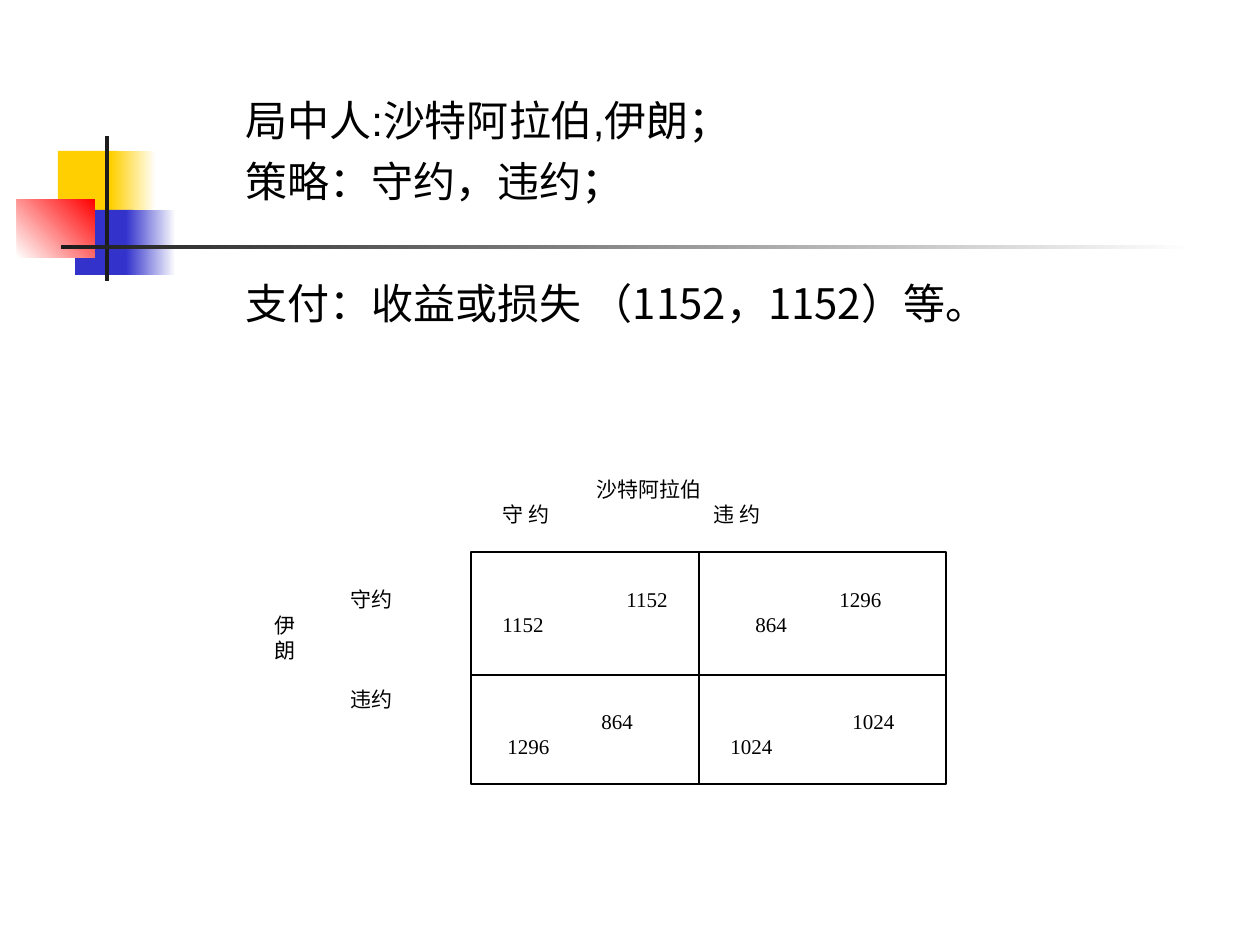
"""Build a slide that shows the payoff matrix of a two-player quota game."""
from lxml import etree
from pptx import Presentation
from pptx.dml.color import RGBColor
from pptx.enum.shapes import MSO_CONNECTOR, MSO_SHAPE
from pptx.enum.text import MSO_ANCHOR, PP_ALIGN
from pptx.oxml.ns import qn
from pptx.util import Pt

RECTANGLE, STRAIGHT = MSO_SHAPE.RECTANGLE, MSO_CONNECTOR.STRAIGHT
TOP, LEFT, JUSTIFY = MSO_ANCHOR.TOP, PP_ALIGN.LEFT, PP_ALIGN.JUSTIFY
SCALE = 914400 // 126
COLORS = {"yellow": "FFCF01", "blue": "3333CC", "red": "FF0000",
          "dark": "1C1C1C", "white": "FFFFFF", "black": "000000"}
SERIF, SANS, CJK = "Times New Roman", "Arial", "Noto Sans CJK SC"

ORNAMENTS = [
    ((58, 151, 60, 66), ("yellow",), 0),
    ((111, 151, 45, 66), ("yellow", "white"), 0),
    ((75, 210, 58, 65), ("blue",), 0),
    ((126, 210, 50, 65), ("blue", "white"), 0),
    ((17, 199, 78, 59), ("white", "red"), 45),
    ((105, 136, 4, 145), ("dark",), 0),
    ((61, 245, 1134, 4), ("dark", "white"), 0),
]
INTRO = [
    ([("局中人:沙特阿拉伯,伊朗；", SANS)], 0),
    ([("策略：守约，违约；", SANS)], 6),
    ([("支付：收益或损失 ", SANS), ("（1152，1152）等", CJK), ("。", SANS)], 41),
]
INTRO_BOX = (233, 88, 883, 307)
MATRIX = (471, 552, 475, 232)
SPLIT_X, SPLIT_Y = 699, 675
LABELS = [
    ((490, 470, 456, 68), [("沙特阿拉伯", 94, 0), ("守 约\t违 约", 0, 0)]),
    ((338, 580, 94, 164), [("守约", 0, 0), ("违约", 0, 43)]),
    ((262, 606, 57, 96), [("伊朗", 0, 0)]),
]
HEADER_TAB = 211
CELL_LEFTS, CELL_TOPS, CELL_SIZE = (490, 718), (580, 702), (190, 68)
PAYOFFS = [
    [[("1152", 124, 0), ("1152", 0, 0)], [("1296", 109, 0), ("864", 25, 0)]],
    [[("864", 99, 0), ("1296", 5, 0)], [("1024", 122, 0), ("1024", 0, 0)]],
]


def px(*lengths):
    return [length * SCALE for length in lengths]


def color(name):
    return RGBColor.from_string(COLORS[name])


def add_rectangle(page, frame, fills, angle=0):
    shape = page.shapes.add_shape(RECTANGLE, *px(*frame))
    shape.shadow.inherit = False
    shape.line.fill.background()
    if len(fills) == 1:
        shape.fill.solid()
        shape.fill.fore_color.rgb = color(fills[0])
    else:
        shape.fill.gradient()
        shape.fill.gradient_angle = angle
        for stop, name, position in zip(shape.fill.gradient_stops, fills, (0, 1)):
            stop.color.rgb = color(name)
            stop.position = position
    return shape


def add_divider(page, *ends):
    line = page.shapes.add_connector(STRAIGHT, *px(*ends))
    line.line.color.rgb = color("black")
    line.line.width = Pt(0.75)
    etree.SubElement(line._element.spPr, qn("a:effectLst"))


def style_span(span, size, font):
    span.font.size = Pt(size)
    span.font.name = font
    span.font.color.rgb = color("black")


def add_label(page, frame, lines):
    text_frame = add_rectangle(page, frame, ("white",)).text_frame
    text_frame.word_wrap = True
    text_frame.vertical_anchor = TOP
    text_frame.text = "\n".join(text for text, _, _ in lines)
    for para, (text, indent, gap) in zip(text_frame.paragraphs, lines):
        para.alignment = JUSTIFY
        if gap:
            para.space_before = Pt(gap)
        properties = para._p.get_or_add_pPr()
        properties.set("marL", str(indent * SCALE))
        if "\t" in text:
            tabs = etree.SubElement(properties, qn("a:tabLst"))
            etree.SubElement(tabs, qn("a:tab"), pos=str(HEADER_TAB * SCALE), algn="l")
        for span in para.runs:
            style_span(span, 12, SERIF)


def add_intro(page):
    text_frame = page.shapes.add_textbox(*px(*INTRO_BOX)).text_frame
    text_frame.word_wrap = True
    for index, (spans, gap) in enumerate(INTRO):
        para = text_frame.add_paragraph() if index else text_frame.paragraphs[0]
        para.alignment = LEFT
        if gap:
            para.space_before = Pt(gap)
        for text, font in spans:
            span = para.add_run()
            span.text = text
            style_span(span, 24, font)


def main():
    deck = Presentation()
    deck.slide_width, deck.slide_height = px(1260, 945)
    page = deck.slides.add_slide(deck.slide_layouts[6])
    for frame, fills, angle in ORNAMENTS:
        add_rectangle(page, frame, fills, angle)

    matrix = add_rectangle(page, MATRIX, ("white",))
    matrix.line.color.rgb = color("black")
    matrix.line.width = Pt(1.5)
    left, top, width, height = MATRIX
    add_divider(page, left, SPLIT_Y, left + width, SPLIT_Y)
    add_divider(page, SPLIT_X, top, SPLIT_X, top + height)

    for frame, lines in LABELS:
        add_label(page, frame, lines)
    for cell_top, row in zip(CELL_TOPS, PAYOFFS):
        for cell_left, lines in zip(CELL_LEFTS, row):
            add_label(page, (cell_left, cell_top, *CELL_SIZE), lines)
    add_intro(page)
    deck.save("out.pptx")


if __name__ == "__main__":
    main()
